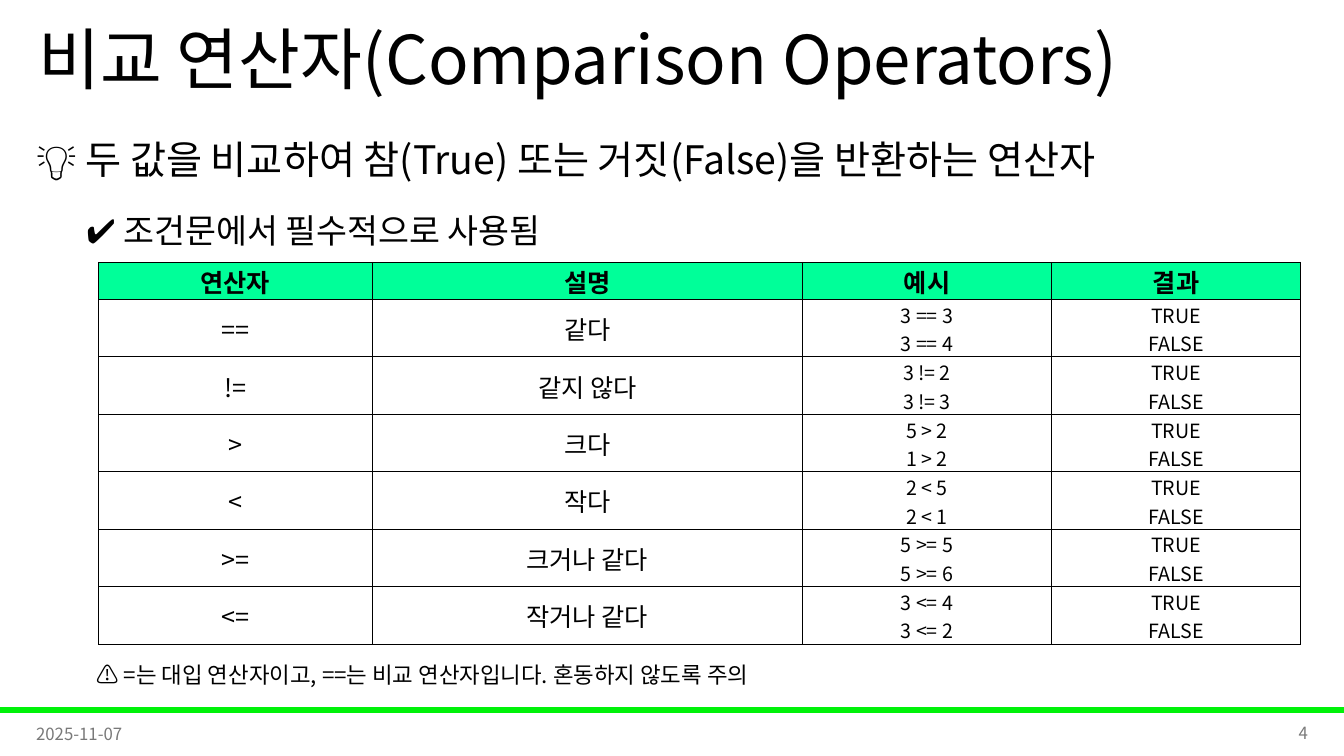
from lxml import etree
from pptx import Presentation
from pptx.dml.color import RGBColor
from pptx.enum.shapes import MSO_SHAPE
from pptx.enum.text import MSO_ANCHOR, PP_ALIGN
from pptx.oxml.ns import qn
from pptx.util import Inches, Pt

LEFT, CENTER, RIGHT = PP_ALIGN.LEFT, PP_ALIGN.CENTER, PP_ALIGN.RIGHT
TOP, MIDDLE = MSO_ANCHOR.TOP, MSO_ANCHOR.MIDDLE
RECT = MSO_SHAPE.RECTANGLE

# Content
FACE = "Noto Sans CJK KR"
COLORS = {"text": "000000", "foot": "797979", "bar": "00F209", "head": "00FF99"}
TITLE = "비교 연산자(Comparison Operators)"
LEAD = "💡 두 값을 비교하여 참(True) 또는 거짓(False)을 반환하는 연산자"
POINT = "✔️ 조건문에서 필수적으로 사용됨"
NOTE = "⚠️ =는 대입 연산자이고, ==는 비교 연산자입니다. 혼동하지 않도록 주의"
DATE, PAGE = "2025-11-07", "4"
HEADS = ["연산자", "설명", "예시", "결과"]
RESULT = "TRUE\nFALSE"
ROWS = [
    ("==", "같다", "3 == 3\n3 == 4"),
    ("!=", "같지 않다", "3 != 2\n3 != 3"),
    (">", "크다", "5 > 2\n1 > 2"),
    ("<", "작다", "2 < 5\n2 < 1"),
    (">=", "크거나 같다", "5 >= 5\n5 >= 6"),
    ("<=", "작거나 같다", "3 <= 4\n3 <= 2"),
]
WIDTHS = [2.71, 4.27, 2.47, 2.47]
HEAD_H, ROW_H = 0.37, 0.57


def color(name):
    return RGBColor.from_string(COLORS[name])


def style(para, size, tone="text", align=LEFT, lines=None, bold=False):
    para.alignment = align
    if lines:
        para.line_spacing = lines
    font = para.font
    font.size, font.bold, font.name = Pt(size), bold, FACE
    font.color.rgb = color(tone)
    east = etree.SubElement(font._element, qn("a:ea"))
    east.set("typeface", FACE)


def add_text(box, text, size, anchor=TOP, **look):
    """Place a text box with one paragraph and return its frame."""
    frame = slide.shapes.add_textbox(*map(Inches, box)).text_frame
    frame.word_wrap = True
    frame.vertical_anchor = anchor
    frame.text = text
    style(frame.paragraphs[0], size, **look)
    return frame


def add_borders(cell):
    props = cell._tc.get_or_add_tcPr()
    for side in ("lnL", "lnR", "lnT", "lnB"):
        line = etree.SubElement(props, qn("a:" + side), w=str(Pt(0.5)))
        fill = etree.SubElement(line, qn("a:solidFill"))
        etree.SubElement(fill, qn("a:srgbClr"), val=COLORS["text"])


deck = Presentation()
deck.slide_width, deck.slide_height = Inches(13.33), Inches(7.5)
slide = deck.slides.add_slide(deck.slide_layouts[5])

# Footer bar
bar = slide.shapes.add_shape(RECT, *map(Inches, (0, 7.02, 13.33, 0.05)))
bar.shadow.inherit = False
bar.fill.solid()
bar.fill.fore_color.rgb = bar.line.color.rgb = color("bar")
bar.line.width = Pt(1)

# Title
title = slide.shapes.title
title.left, title.top, title.width, title.height = map(Inches, (0.28, 0, 11.5, 1.25))
title.text_frame.text = TITLE
title.text_frame.vertical_anchor = MIDDLE
style(title.text_frame.paragraphs[0], 48, lines=0.9)

# Date and page number
add_text((0.26, 7.08, 3, 0.4), DATE, 12, MIDDLE, tone="foot")
add_text((10.07, 7.07, 3, 0.4), PAGE, 12, MIDDLE, tone="foot", align=RIGHT)

# Lead and point
body = add_text((0.26, 1.06, 12.8, 1.66), LEAD, 28, lines=1.5)
point = body.add_paragraph()
point.text, point.level, point.space_before = POINT, 1, Pt(5)
indent = point._p.get_or_add_pPr()
indent.set("marL", str(Inches(0.5)))
indent.set("indent", "0")
style(point, 24, lines=1.5)

# Operator table
grid = [HEADS] + [[*row, RESULT] for row in ROWS]
heights = [HEAD_H] + [ROW_H] * len(ROWS)
area = (0.98, 2.6, sum(WIDTHS), sum(heights))
table = slide.shapes.add_table(len(grid), len(HEADS), *map(Inches, area)).table
for col, width in zip(table.columns, WIDTHS):
    col.width = Inches(width)
for r, (texts, height) in enumerate(zip(grid, heights)):
    table.rows[r].height = Inches(height)
    for c, text in enumerate(texts):
        cell = table.cell(r, c)
        cell.margin_left = cell.margin_right = cell.margin_top = Inches(0.01)
        cell.margin_bottom = 0
        cell.vertical_anchor = MIDDLE
        add_borders(cell)
        if r == 0:
            cell.fill.solid()
            cell.fill.fore_color.rgb = color("head")
        else:
            cell.fill.background()
        para = cell.text_frame.paragraphs[0]
        para.text = text
        style(para, 14 if "\n" in text else 18, align=CENTER, bold=r == 0)

# Warning note
add_text((0.86, 6.38, 10.33, 0.46), NOTE, 16, lines=1.5)

deck.save("out.pptx")
